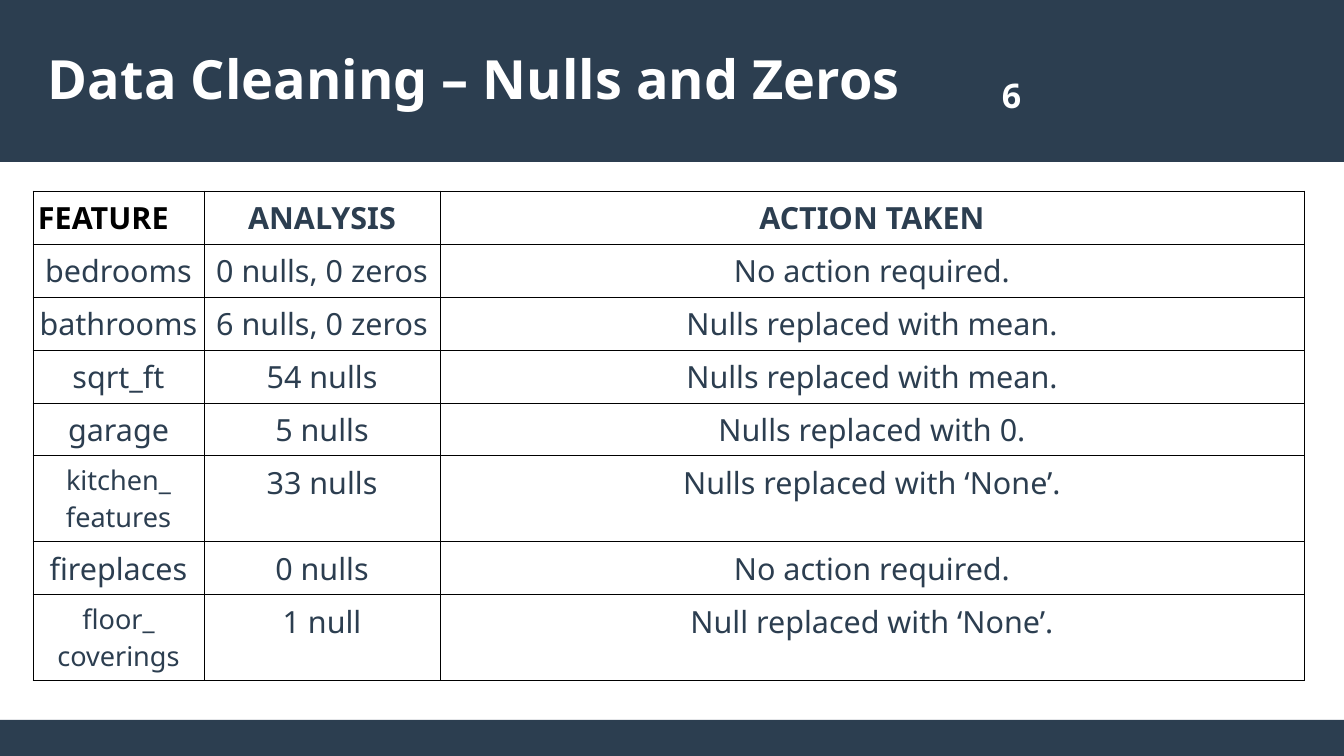
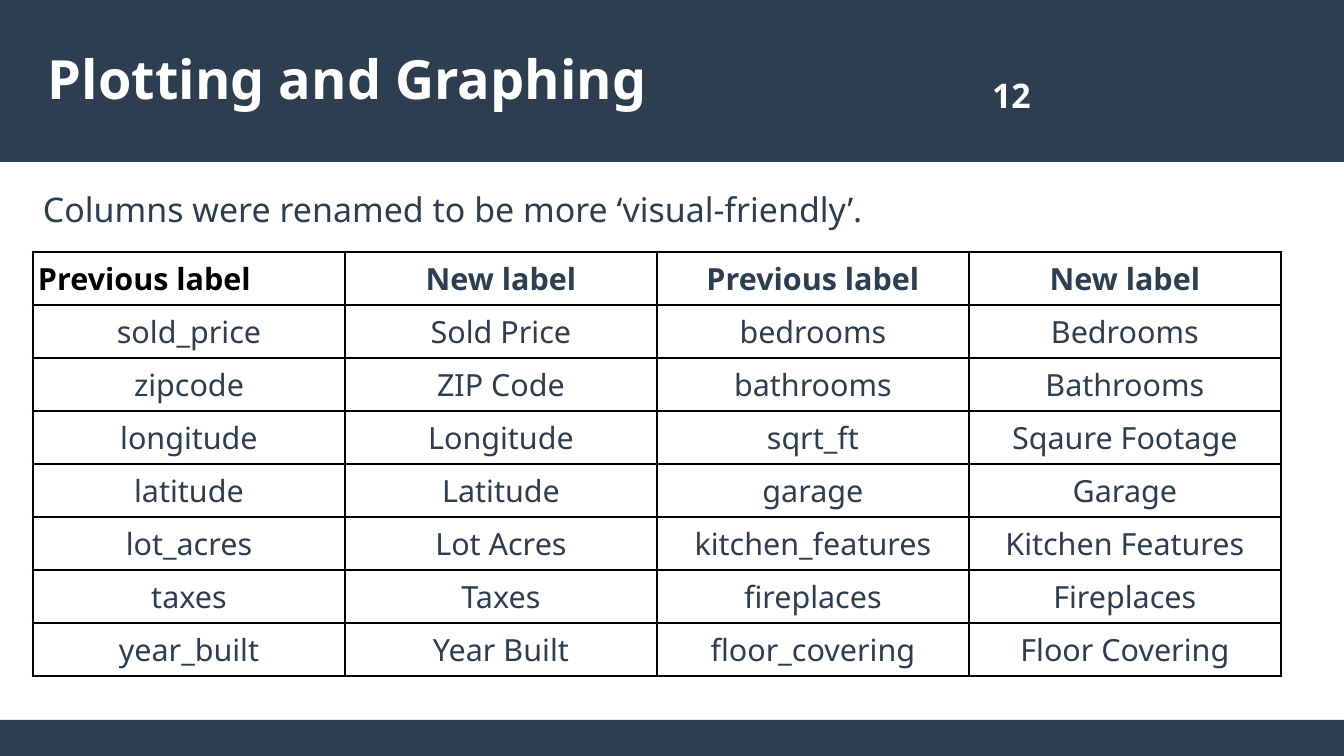
import pptx
import pptx.dml.color
import pptx.enum.shapes
import pptx.enum.text
import pptx.oxml
import pptx.oxml.ns
import pptx.util

RGBColor = pptx.dml.color.RGBColor
Align = pptx.enum.text.PP_ALIGN
Anchor = pptx.enum.text.MSO_ANCHOR

NAVY = RGBColor(0x2C, 0x3E, 0x50)
WHITE = RGBColor(0xFF, 0xFF, 0xFF)
BLACK = RGBColor(0x00, 0x00, 0x00)

FONT = "Noto Sans"
PX_PER_INCH = 122
SLIDE_WIDTH, SLIDE_HEIGHT = 1344, 756
HEADER_HEIGHT, FOOTER_HEIGHT = 162, 36
TABLE_LEFT = 33
ROW_HEIGHT, TALL_ROW_HEIGHT = 53, 86
TITLE_SIZE, BODY_SIZE, CELL_SIZE, SMALL_CELL_SIZE = 31.9, 20, 18, 16

NULLS_TABLE = [
    ["FEATURE", "ANALYSIS", "ACTION TAKEN"],
    ["bedrooms", "0 nulls, 0 zeros", "No action required."],
    ["bathrooms", "6 nulls, 0 zeros", "Nulls replaced with mean."],
    ["sqrt_ft", "54 nulls", "Nulls replaced with mean."],
    ["garage", "5 nulls", "Nulls replaced with 0."],
    ["kitchen_\nfeatures", "33 nulls", "Nulls replaced with ‘None’."],
    ["fireplaces", "0 nulls", "No action required."],
    ["floor_\ncoverings", "1 null", "Null replaced with ‘None’."],
]

LABELS_TABLE = [
    ["Previous label", "New label", "Previous label", "New label"],
    ["sold_price", "Sold Price", "bedrooms", "Bedrooms"],
    ["zipcode", "ZIP Code", "bathrooms", "Bathrooms"],
    ["longitude", "Longitude", "sqrt_ft", "Sqaure Footage"],
    ["latitude", "Latitude", "garage", "Garage"],
    ["lot_acres", "Lot Acres", "kitchen_features", "Kitchen Features"],
    ["taxes", "Taxes", "fireplaces", "Fireplaces"],
    ["year_built", "Year Built", "floor_covering", "Floor Covering"],
]


def px(length):
    return pptx.util.Emu(round(length * 914400 / PX_PER_INCH))


class Deck:
    """Holds the shared style and the slide being built."""

    def __init__(self):
        self.presentation = pptx.Presentation()
        self.presentation.slide_width = px(SLIDE_WIDTH)
        self.presentation.slide_height = px(SLIDE_HEIGHT)
        self.slide = None

    def start_slide(self, title, number):
        blank_layout = self.presentation.slide_layouts[6]
        self.slide = self.presentation.slides.add_slide(blank_layout)
        self.band(SLIDE_HEIGHT - FOOTER_HEIGHT, FOOTER_HEIGHT)
        self.band(0, HEADER_HEIGHT)
        self.text(title, 48, 41, 1248, 73, TITLE_SIZE, WHITE, bold=True,
                  anchor=Anchor.MIDDLE, inset=(0, 0))
        self.text(str(number), 712, 67, 599, 55, BODY_SIZE, WHITE, bold=True,
                  anchor=Anchor.MIDDLE, align=Align.CENTER)

    def band(self, top, height):
        shape = self.slide.shapes.add_shape(
            pptx.enum.shapes.MSO_SHAPE.RECTANGLE,
            0, px(top), px(SLIDE_WIDTH), px(height))
        shape.shadow.inherit = False
        shape.fill.solid()
        shape.fill.fore_color.rgb = NAVY
        shape.line.fill.background()

    def text(self, words, left, top, width, height, size, color, bold=False,
             anchor=Anchor.TOP, align=Align.LEFT, inset=(12, 6)):
        box = self.slide.shapes.add_textbox(
            px(left), px(top), px(width), px(height))
        frame = box.text_frame
        frame.word_wrap = True
        frame.vertical_anchor = anchor
        frame.margin_left = frame.margin_right = px(inset[0])
        frame.margin_top = frame.margin_bottom = px(inset[1])
        self.add_runs(frame.paragraphs[0], words, size, color, bold, align)

    def add_runs(self, paragraph, words, size, color, bold, align):
        paragraph.alignment = align
        for index, line in enumerate(words.split("\n")):
            if index:
                paragraph.add_line_break()
            run = paragraph.add_run()
            run.text = line
            run.font.name = FONT
            run.font.size = pptx.util.Pt(size)
            run.font.bold = bold
            run.font.color.rgb = color

    def table(self, rows, top, column_widths, border):
        heights = [TALL_ROW_HEIGHT if "\n" in row[0] else ROW_HEIGHT
                   for row in rows]
        table = self.slide.shapes.add_table(
            len(rows), len(column_widths), px(TABLE_LEFT), px(top),
            px(sum(column_widths)), px(sum(heights))).table
        table.first_row = table.horz_banding = False
        for column, width in zip(table.columns, column_widths):
            column.width = px(width)
        for row_index, row in enumerate(rows):
            table.rows[row_index].height = px(heights[row_index])
            for column_index, words in enumerate(row):
                # The first heading alone is black and left aligned
                corner = row_index == column_index == 0
                cell = table.cell(row_index, column_index)
                self.frame_cell(cell, border)
                self.add_runs(cell.text_frame.paragraphs[0], words,
                              SMALL_CELL_SIZE if "\n" in words else CELL_SIZE,
                              BLACK if corner else NAVY, row_index == 0,
                              Align.LEFT if corner else Align.CENTER)

    def frame_cell(self, cell, border):
        cell.margin_left = cell.margin_right = px(5)
        cell.margin_top = cell.margin_bottom = px(6)
        properties = cell._tc.get_or_add_tcPr()
        for side in "LRTB":
            properties.append(pptx.oxml.parse_xml(
                f'<a:ln{side} {pptx.oxml.ns.nsdecls("a")} '
                f'w="{pptx.util.Pt(border)}"><a:solidFill>'
                f'<a:srgbClr val="{BLACK}"/></a:solidFill></a:ln{side}>'))
        cell.fill.solid()
        cell.fill.fore_color.rgb = WHITE


def main():
    deck = Deck()

    # Nulls and zeros
    deck.start_slide("Data Cleaning – Nulls and Zeros", 6)
    deck.table(NULLS_TABLE, 191, [171, 236, 864], border=0.57)

    # Renamed columns
    deck.start_slide("Plotting and Graphing", 12)
    deck.text("Columns were renamed to be more ‘visual-friendly’.",
              31, 183, 1250, 61, BODY_SIZE, NAVY)
    deck.table(LABELS_TABLE, 252, [312] * 4, border=1.7)

    deck.presentation.save("out.pptx")


if __name__ == "__main__":
    main()
